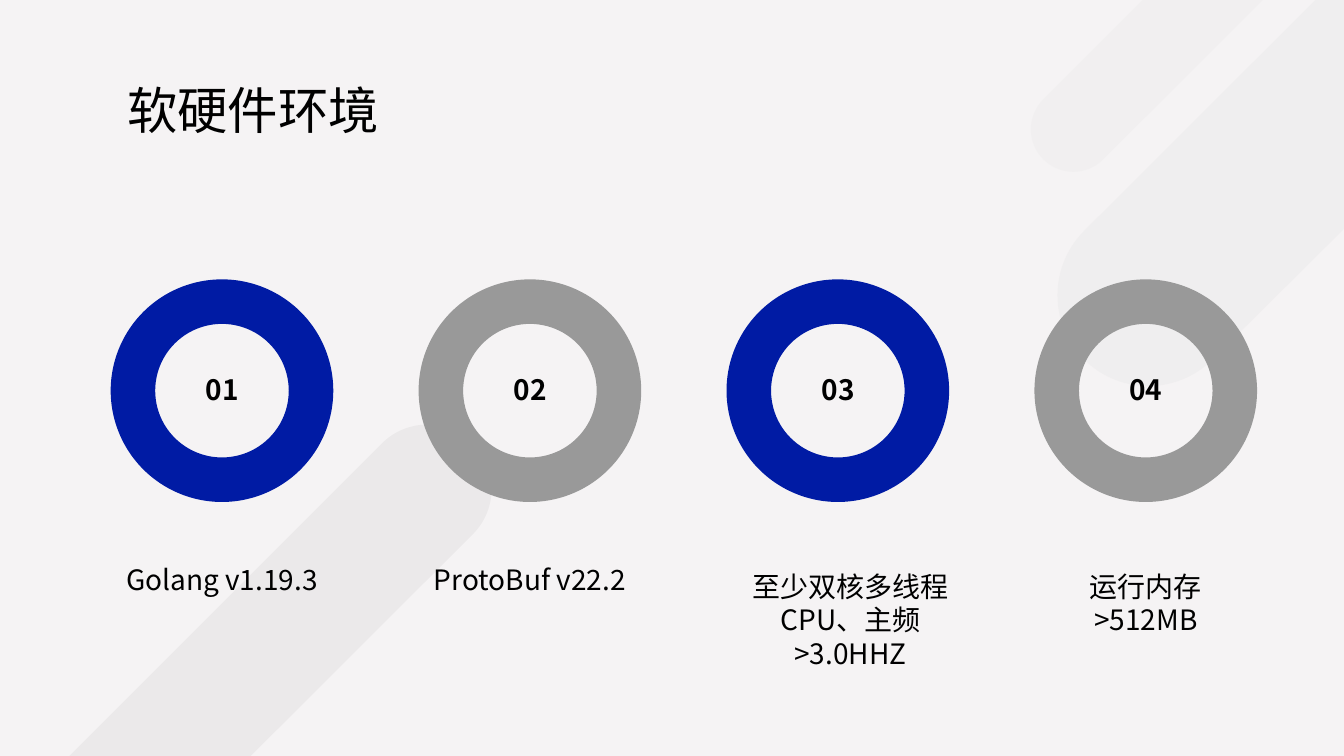
import math
from lxml import etree
from pptx import Presentation
from pptx.dml.color import RGBColor
from pptx.enum import shapes, text
from pptx.oxml.ns import qn
from pptx.util import Cm, Pt

FONT = "Noto Sans CJK SC"


def paint(fill, color, alpha=None):
    fill.solid()
    fill.fore_color.rgb = RGBColor.from_string(color)
    if alpha:
        srgb = fill._xPr.find(".//" + qn("a:srgbClr"))
        etree.SubElement(srgb, qn("a:alpha"), val=str(alpha * 1000))


def write(frame, words, size, align, bold=False, spacing=None):
    frame.word_wrap = True
    frame.text = words
    paragraph = frame.paragraphs[0]
    paragraph.alignment = align
    paragraph.line_spacing = spacing
    font = paragraph.font
    font.name, font.size, font.bold = FONT, Pt(size), bold
    paint(font.fill, "000000")
    etree.SubElement(font._rPr, qn("a:ea"), typeface=FONT)


prs = Presentation()
prs.slide_width, prs.slide_height = Cm(33.87), Cm(19.05)
slide = prs.slides.add_slide(prs.slide_layouts[5])
paint(slide.background.fill, "F5F3F4")

title = slide.shapes.title
title.left, title.top, title.width, title.height = Cm(2.95), Cm(1.02), Cm(28.58), Cm(3.68)
title.text_frame.vertical_anchor = text.MSO_ANCHOR.MIDDLE
write(title.text_frame, "软硬件环境", 36, text.PP_ALIGN.LEFT, spacing=0.9)

stripes = [
    (10.77, 12.32, 1.62, 225, [(6.32, 19.05), (1.75, 19.05)], "999999", 10),
    (28.94, 7.44, 2.29, 45, [(33.15, 0), (33.87, 0), (33.87, 5.77)], "D3D3D3", 15),
    (27.05, 3.26, 1.07, 45, [(28.8, 0), (31.83, 0)], "E3E3E3", 20),
]
for x, y, radius, start, tail, color, alpha in stripes:
    angles = [math.radians(start + step) for step in range(0, 181, 3)]
    cap = [(x + radius * math.cos(a), y + radius * math.sin(a)) for a in angles]
    outline = [(Cm(px), Cm(py)) for px, py in cap + tail]
    builder = slide.shapes.build_freeform(*outline[0])
    builder.add_line_segments(outline[1:])
    stripe = builder.convert_to_shape()
    stripe.shadow.inherit = False
    stripe.line.fill.background()
    paint(stripe.fill, color, alpha)

requirements = [
    ("Golang v1.19.3", "001BA4", 14.38, 5.61, Pt(15)),
    ("ProtoBuf v22.2", "999999", 14.38, 5.61, Pt(15)),
    ("至少双核多线程CPU、主频>3.0HHZ", "001BA4", 14.22, 6.25, None),
    ("运行内存>512MB", "999999", 14.22, 5.61, None),
]
for index, (requirement, color, top, width, spacing) in enumerate(requirements):
    left = 2.79 + 7.76 * index
    ring = slide.shapes.add_shape(
        shapes.MSO_SHAPE.DONUT, Cm(left), Cm(7.04), Cm(5.61), Cm(5.61))
    ring.adjustments[0] = 0.2
    ring.shadow.inherit = False
    ring.line.fill.background()
    paint(ring.fill, color)

    caption = slide.shapes.add_textbox(Cm(left), Cm(top), Cm(width), Cm(0.84))
    write(caption.text_frame, requirement, 20, text.PP_ALIGN.CENTER, spacing=spacing)

    number = slide.shapes.add_textbox(Cm(left + 0.88), Cm(9.25), Cm(3.86), Cm(1.12))
    write(number.text_frame, f"{index + 1:02}", 20, text.PP_ALIGN.CENTER, bold=True)

prs.save("out.pptx")
